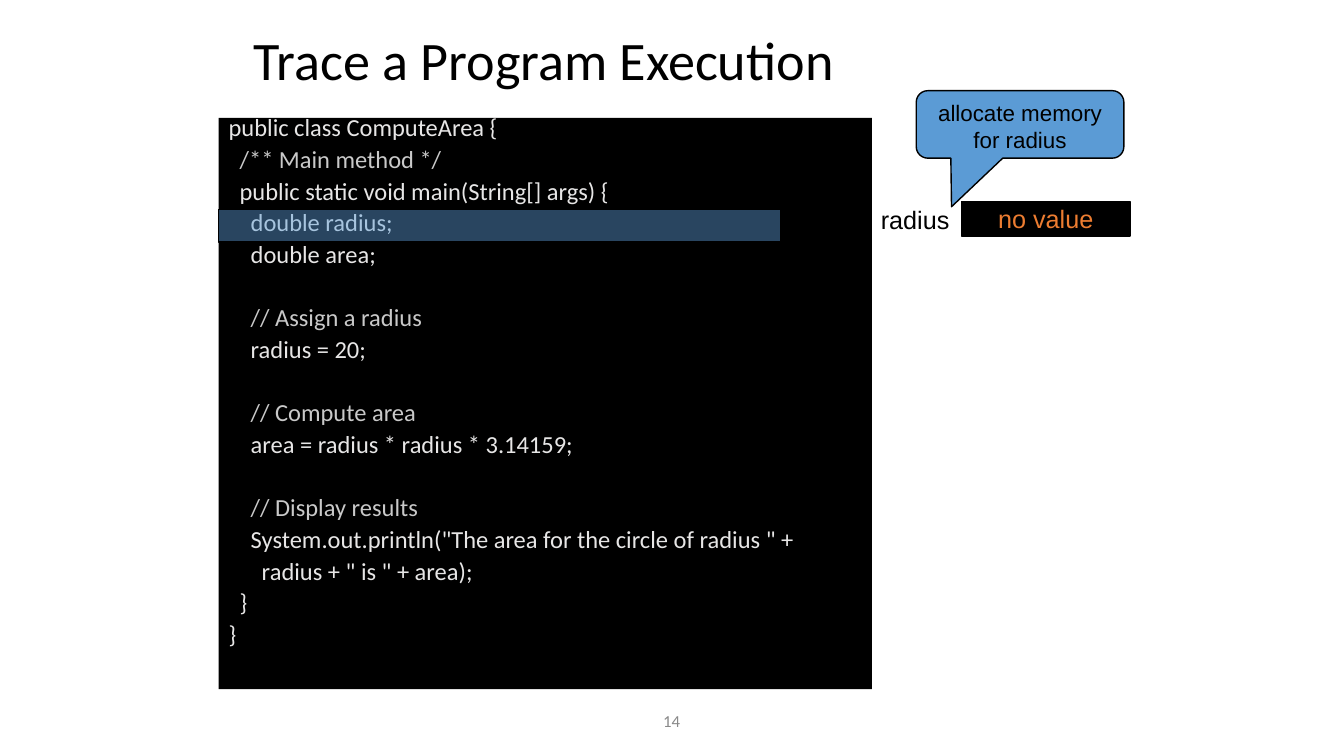
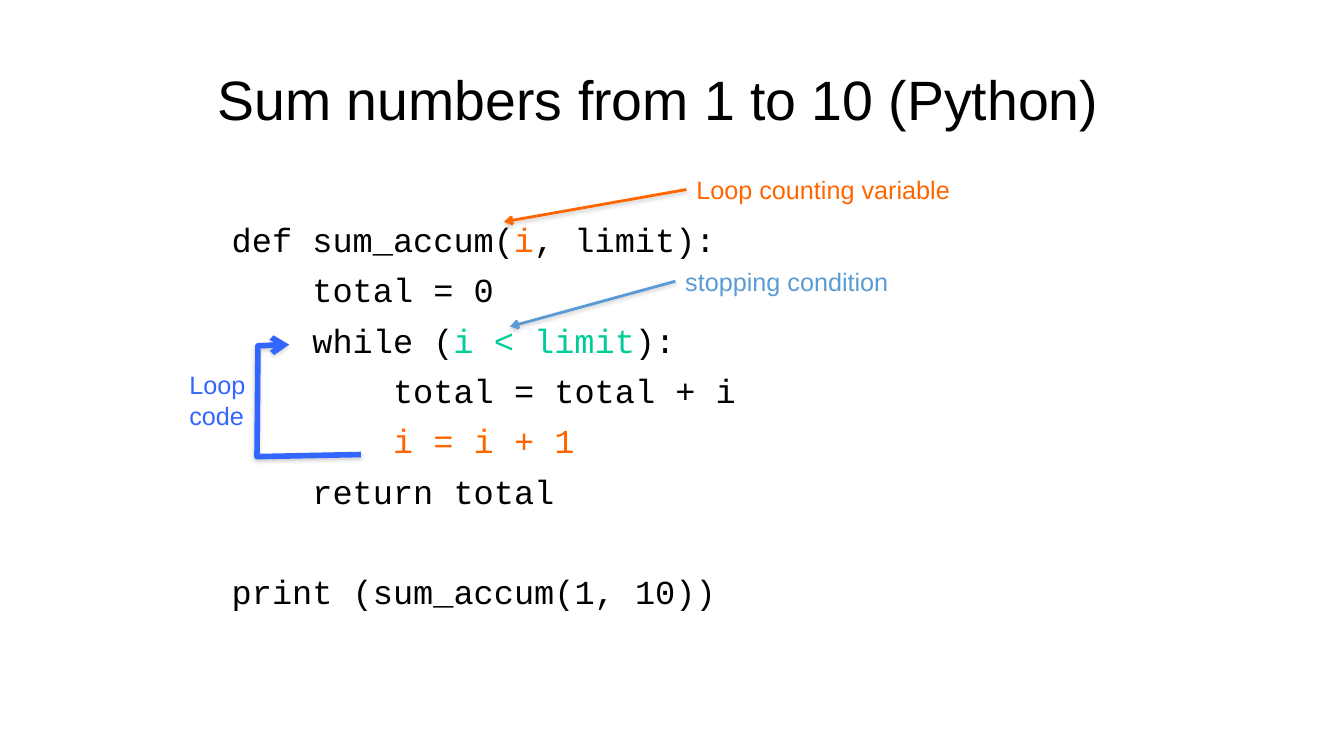
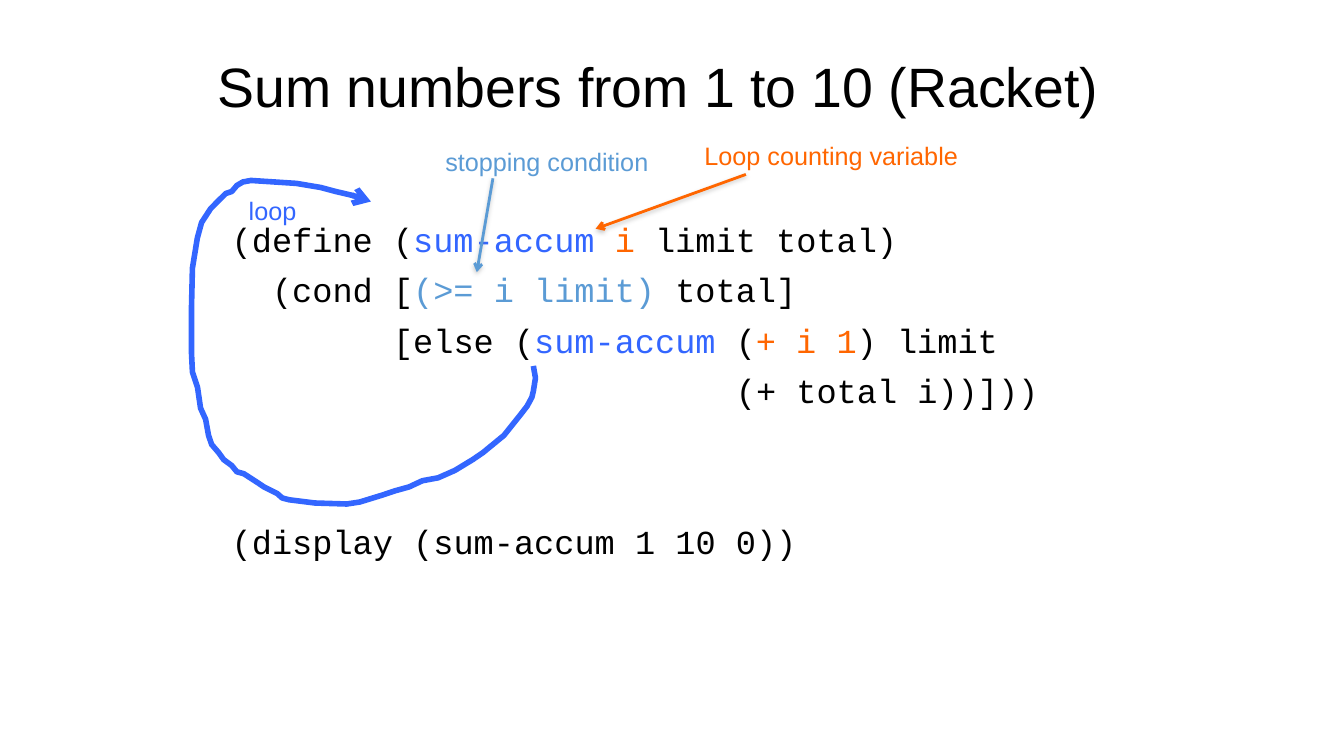
from lxml.etree import SubElement
from pptx import Presentation
from pptx.dml.color import RGBColor
from pptx.enum.shapes import MSO_CONNECTOR, MSO_SHAPE
from pptx.enum.text import MSO_ANCHOR, MSO_AUTO_SIZE, PP_ALIGN
from pptx.oxml.ns import qn
from pptx.util import Pt

BLACK = "000000"
ORANGE = "FF6600"
BLUE = "5B9BD5"
LOOP_BLUE = "3366FF"
GREEN = "00CC99"
CODE_LIGHT = "E7E6E6"
COMMENT_GREY = "C9C9C9"
LABEL_HEIGHT = 28.8

JAVA_LINES = [
    [("public class ComputeArea {", CODE_LIGHT)],
    [("  /** Main method */", COMMENT_GREY)],
    [("  public static void main(String[] args) {", CODE_LIGHT)],
    [("    double radius;", CODE_LIGHT)],
    [("    double area;", CODE_LIGHT)],
    [],
    [("    // Assign a radius", COMMENT_GREY)],
    [("    radius = 20;", CODE_LIGHT)],
    [],
    [("    // Compute area", COMMENT_GREY)],
    [("    area = radius * radius * 3.14159;", CODE_LIGHT)],
    [],
    [("    // Display results", COMMENT_GREY)],
    [('    System.out.println("The area for the circle of radius " +', CODE_LIGHT)],
    [('      radius + " is " + area);', CODE_LIGHT)],
    [("  }", CODE_LIGHT)],
    [("}", CODE_LIGHT)],
]

PYTHON_LINES = [
    [("def sum_accum(", BLACK), ("i", ORANGE), (", limit):", BLACK)],
    [("    total = 0", BLACK)],
    [("    while (", BLACK), ("i < limit", GREEN), ("):", BLACK)],
    [("        total = total + i", BLACK)],
    [("        i = i + 1", ORANGE)],
    [("    return total", BLACK)],
    [],
    [("print (sum_accum(1, 10))", BLACK)],
]

RACKET_LINES = [
    [("(define (", BLACK), ("sum-accum ", LOOP_BLUE), ("i", ORANGE), (" limit total)", BLACK)],
    [("  (cond [", BLACK), ("(>= i limit) ", BLUE), ("total]", BLACK)],
    [("        [else (", BLACK), ("sum-accum ", LOOP_BLUE), ("(", BLACK),
     ("+ i 1", ORANGE), (") limit", BLACK)],
    [("                         (+ total i))]))", BLACK)],
    [],
    [],
    [("(display (sum-accum 1 10 0))", BLACK)],
]

PYTHON_LOOP = [(257.8, 324.7), (183.6, 326.2), (184.3, 247), (206.6, 246.2)]

RACKET_LOOP = [
    (381, 261.4), (382.5, 270), (381, 279.4), (380, 283.7), (376.6, 290), (372, 296),
    (360, 311), (345, 323.3), (337.7, 328.3), (325, 336), (313, 341.3), (301.7, 343.4),
    (292.3, 347.8), (282.2, 350.6), (273.6, 353.5), (257, 358.6), (247.7, 360),
    (225, 359.3), (206.6, 357), (201.6, 355.7), (198, 352.5), (188.6, 347.8),
    (184.3, 344.9), (174.2, 338.4), (169.2, 337), (165.6, 332.6), (159.8, 328.3),
    (156.2, 323.3), (151.2, 317.5), (149, 311), (146.9, 299.5), (143.3, 291.6),
    (141.1, 276.5), (137.5, 265.7), (136.8, 252), (136.8, 220), (137.5, 191.5),
    (141, 170), (144, 159), (150.5, 149), (155.5, 144), (161.3, 138.2),
    (165.6, 136.8), (169.2, 132.5), (173.5, 130), (179.3, 128.9), (211.7, 131),
    (229, 133.9), (239.8, 136.8), (257.8, 141), (265, 144),
]


def color(value):
    return RGBColor.from_string(value)


def points(values):
    return [Pt(value) for value in values]


class Deck:
    def __init__(self):
        self.presentation = Presentation()
        self.presentation.slide_width = Pt(960)
        self.presentation.slide_height = Pt(540)
        self.slide = None

    def add_slide(self, title, box, size, font):
        layout = self.presentation.slide_layouts.get_by_name("Title Only")
        self.slide = self.presentation.slides.add_slide(layout)
        shape = self.slide.shapes.title
        shape.left, shape.top, shape.width, shape.height = points(box)
        frame = shape.text_frame
        frame.auto_size = MSO_AUTO_SIZE.NONE
        frame.vertical_anchor = MSO_ANCHOR.MIDDLE
        self.set_text(frame, title, size, BLACK, font)
        frame.paragraphs[0].line_spacing = 0.9

    def set_text(self, frame, text, size, text_color, font="Arial", align=PP_ALIGN.LEFT):
        frame.text = text
        for paragraph in frame.paragraphs:
            paragraph.alignment = align
            for run in paragraph.runs:
                self.style(run, size, text_color, font)

    def style(self, run, size, text_color, font):
        run.font.size = Pt(size)
        run.font.name = font
        run.font.color.rgb = color(text_color)

    def label(self, text, box, text_color, size=18, font="Arial", align=PP_ALIGN.LEFT):
        shape = self.slide.shapes.add_textbox(*points(box))
        shape.text_frame.word_wrap = False
        self.set_text(shape.text_frame, text, size, text_color, font, align)
        return shape

    def code(self, lines, box, size, font, line_spacing, pitch, fill=None):
        shape = self.slide.shapes.add_textbox(*points(box))
        if fill:
            shape.fill.solid()
            shape.fill.fore_color.rgb = color(fill)
        frame = shape.text_frame
        frame.word_wrap = True
        space = 0
        for line in lines:
            if not line:
                space += pitch
                continue
            first = line is lines[0]
            paragraph = frame.paragraphs[0] if first else frame.add_paragraph()
            paragraph.line_spacing = line_spacing
            paragraph.space_before = Pt(space)
            space = 10
            for text, text_color in line:
                run = paragraph.add_run()
                run.text = text
                self.style(run, size, text_color, font)

    def box(self, kind, box, fill, opacity=None):
        shape = self.slide.shapes.add_shape(kind, *points(box))
        shape.shadow.inherit = False
        shape.fill.solid()
        shape.fill.fore_color.rgb = color(fill)
        shape.line.color.rgb = color(BLACK)
        shape.line.width = Pt(1)
        if opacity:
            tint = shape._element.spPr.find(qn("a:solidFill"))[0]
            SubElement(tint, qn("a:alpha"), val=str(opacity * 1000))
        return shape

    def stroke(self, shape, line_color, width, shadow):
        shape.line.color.rgb = color(line_color)
        shape.line.width = Pt(width)
        properties = shape._element.spPr
        SubElement(properties.find(qn("a:ln")), qn("a:tailEnd"), type="arrow")
        effects = SubElement(properties, qn("a:effectLst"))
        if shadow:
            outer = SubElement(effects, qn("a:outerShdw"), blurRad=str(Pt(3.1)),
                               dist=str(Pt(1.6)), dir="5400000", rotWithShape="0")
            tint = SubElement(outer, qn("a:srgbClr"), val="808080")
            SubElement(tint, qn("a:alpha"), val="38000")

    def arrow(self, start, end, line_color, source=None):
        connector = self.slide.shapes.add_connector(
            MSO_CONNECTOR.STRAIGHT, *points(start + end))
        if source is not None:
            connector.begin_connect(source, 1)
        self.stroke(connector, line_color, 2, True)

    def loop(self, outline, shadow):
        start, *rest = [points(point) for point in outline]
        builder = self.slide.shapes.build_freeform(*start)
        builder.add_line_segments(rest, close=False)
        shape = builder.convert_to_shape()
        shape.fill.background()
        self.stroke(shape, LOOP_BLUE, 4, shadow)

    def sum_slide(self, language, title_top, lines):
        self.add_slide(f"Sum numbers from 1 to 10 ({language})",
                       (148.3, title_top, 657.4, 90), 39.6, "Arial")
        self.code(lines, (158.4, 156.2, 627.8, 324), 24, "Courier New", 0.9, 36)

    def counting_label(self, left, top):
        return self.label("Loop counting variable", (left, top, 197.3, LABEL_HEIGHT), ORANGE)

    def stopping_label(self, left, top):
        return self.label("stopping condition", (left, top, 161.3, LABEL_HEIGHT), BLUE)


def trace_slide(deck):
    deck.add_slide("Trace a Program Execution", (174.2, 23.8, 612, 41.8), 38.7, "Calibri")
    number = deck.label("14", (365.8, 500.4, 228, LABEL_HEIGHT), "898989", 12, "Calibri",
                        PP_ALIGN.CENTER)
    number.text_frame.word_wrap = True
    number.text_frame.vertical_anchor = MSO_ANCHOR.MIDDLE
    deck.code(JAVA_LINES, (156.2, 84.2, 466.6, 408.2), 17.5, "Calibri", 0.6, 22.7, BLACK)

    memory = deck.box(MSO_SHAPE.RECTANGLE, (686.9, 144, 120.2, 24.5), BLACK).text_frame
    memory.word_wrap = False
    memory.vertical_anchor = MSO_ANCHOR.MIDDLE
    memory.margin_left = memory.margin_right = Pt(0.7)
    memory.margin_top = memory.margin_bottom = Pt(0.7)
    deck.set_text(memory, "no value", 18, "ED7D31", align=PP_ALIGN.CENTER)
    deck.label("radius", (622.1, 142.6, 66.2, LABEL_HEIGHT), BLACK)

    deck.box(MSO_SHAPE.RECTANGLE, (156.2, 149.8, 401.8, 23), BLUE, opacity=45)
    callout = deck.box(MSO_SHAPE.ROUNDED_RECTANGULAR_CALLOUT, (654.5, 64.8, 148.3, 48.2), BLUE)
    for index, adjustment in enumerate((-0.33, 1.22, 0.17)):
        callout.adjustments[index] = adjustment
    callout.text_frame.word_wrap = True
    callout.text_frame.vertical_anchor = MSO_ANCHOR.TOP
    deck.set_text(callout.text_frame, "allocate memory for radius", 16, BLACK,
                  align=PP_ALIGN.CENTER)


def python_slide(deck):
    deck.sum_slide("Python", 28.1, PYTHON_LINES)
    deck.label("Loop\ncode", (128.2, 260.6, 59.8, 51.1), LOOP_BLUE)
    counting = deck.counting_label(490.3, 121)
    deck.arrow((490.3, 135.4), (360, 158.4), ORANGE, counting)
    stopping = deck.stopping_label(482.4, 186.5)
    deck.arrow((482.4, 200.9), (364.3, 233.3), BLUE, stopping)
    deck.loop(PYTHON_LOOP, shadow=True)


def racket_slide(deck):
    deck.sum_slide("Racket", 18.7, RACKET_LINES)
    deck.loop(RACKET_LOOP, shadow=False)
    deck.label("loop", (170.6, 136.1, 49, LABEL_HEIGHT), LOOP_BLUE)
    deck.counting_label(496.1, 96.5)
    deck.arrow((532.8, 124.6), (425.5, 163.4), ORANGE)
    deck.stopping_label(311, 100.8)
    deck.arrow((352.1, 127.4), (340.6, 194.4), BLUE)


def main():
    deck = Deck()
    trace_slide(deck)
    python_slide(deck)
    racket_slide(deck)
    deck.presentation.save("out.pptx")


if __name__ == "__main__":
    main()
